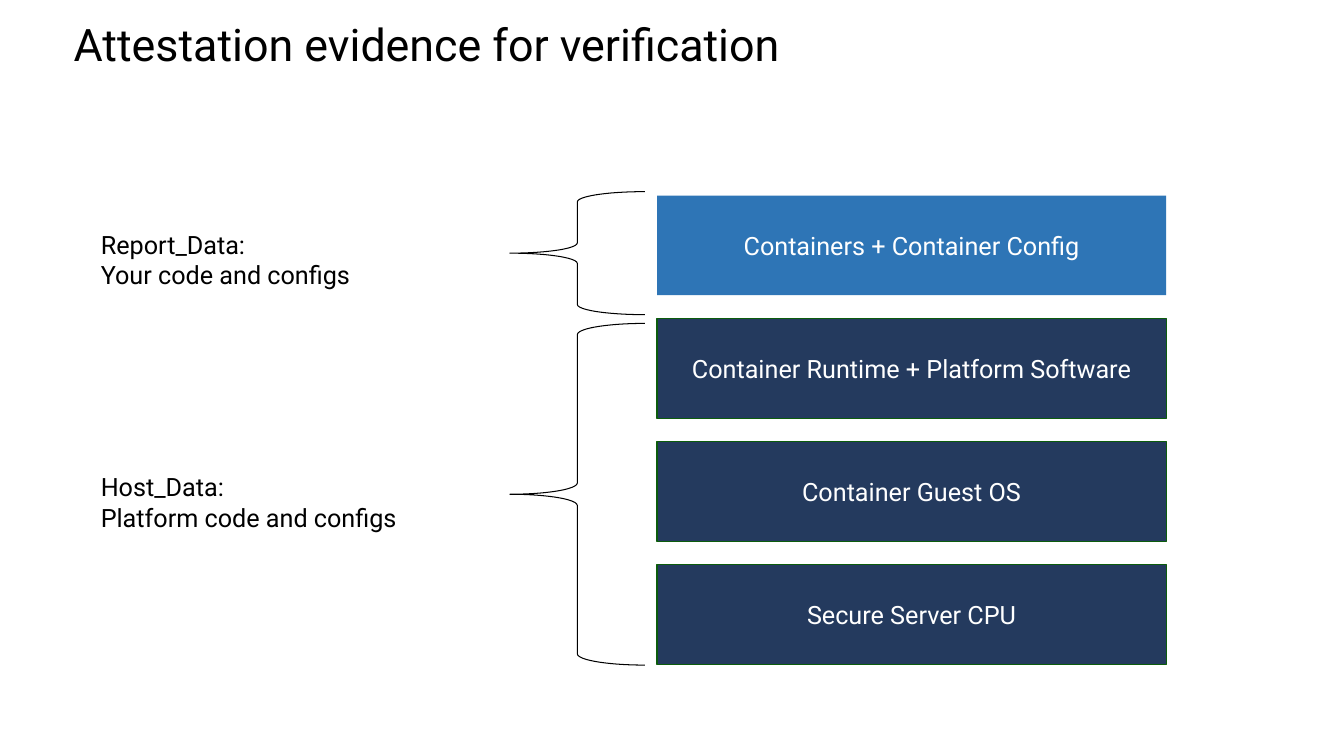
import pptx
import pptx.dml.color
import pptx.enum.shapes
import pptx.enum.text
import pptx.util

Cm = pptx.util.Cm
Pt = pptx.util.Pt
ALIGN = pptx.enum.text.PP_ALIGN
ANCHOR = pptx.enum.text.MSO_ANCHOR
SHAPE = pptx.enum.shapes.MSO_SHAPE


def color(value):
    return pptx.dml.color.RGBColor.from_string(value)


def write(shape, text, size, text_color, alignment, anchor):
    frame = shape.text_frame
    frame.word_wrap = True
    frame.auto_size = pptx.enum.text.MSO_AUTO_SIZE.NONE
    frame.vertical_anchor = anchor
    paragraph = frame.paragraphs[0]
    paragraph.text = text
    paragraph.alignment = alignment
    paragraph.font.name = "Roboto"
    paragraph.font.size = Pt(size)
    paragraph.font.color.rgb = color(text_color)


presentation = pptx.Presentation()
presentation.slide_width = Cm(33.87)
presentation.slide_height = Cm(19.05)
slide = presentation.slides.add_slide(presentation.slide_layouts[5])

# Title
title = slide.shapes.title
title.left, title.top, title.width, title.height = Cm(1.6), Cm(0.3), Cm(31.95), Cm(1.63)
write(title, "Attestation evidence for verification", 32, "000000", ALIGN.LEFT, ANCHOR.TOP)

# Stack of layers, top to bottom
layers = [
    ("Containers + Container Config", "2E75B6", None),
    ("Container Runtime + Platform Software", "243A5E", "0C5C0C"),
    ("Container Guest OS", "243A5E", "0C5C0C"),
    ("Secure Server CPU", "243A5E", "0C5C0C"),
]
layer_pitch = 3.1
for index, (text, fill, outline) in enumerate(layers):
    layer = slide.shapes.add_shape(
        SHAPE.RECTANGLE, Cm(16.56), Cm(4.93 + index * layer_pitch), Cm(12.83), Cm(2.51))
    layer.shadow.inherit = False
    layer.fill.solid()
    layer.fill.fore_color.rgb = color(fill)
    if outline:
        layer.line.color.rgb = color(outline)
        layer.line.width = Pt(0.85)
    else:
        layer.line.fill.background()
    write(layer, text, 18, "FFFFFF", ALIGN.CENTER, ANCHOR.MIDDLE)

# Braces with the evidence field that covers each group
groups = [
    ("Report_Data:\nYour code and configs", 5.66, 4.83, 3.1),
    ("Host_Data:\nPlatform code and configs", 11.76, 8.15, 8.61),
]
for text, label_top, brace_top, brace_height in groups:
    brace = slide.shapes.add_shape(
        SHAPE.LEFT_BRACE, Cm(12.85), Cm(brace_top), Cm(3.4), Cm(brace_height))
    brace.shadow.inherit = False
    brace.fill.background()
    brace.line.color.rgb = color("000000")
    brace.line.width = Pt(0.75)
    label = slide.shapes.add_textbox(Cm(2.29), Cm(label_top), Cm(11.75), Cm(1.8))
    write(label, text, 18, "000000", ALIGN.LEFT, ANCHOR.TOP)

presentation.save("out.pptx")
